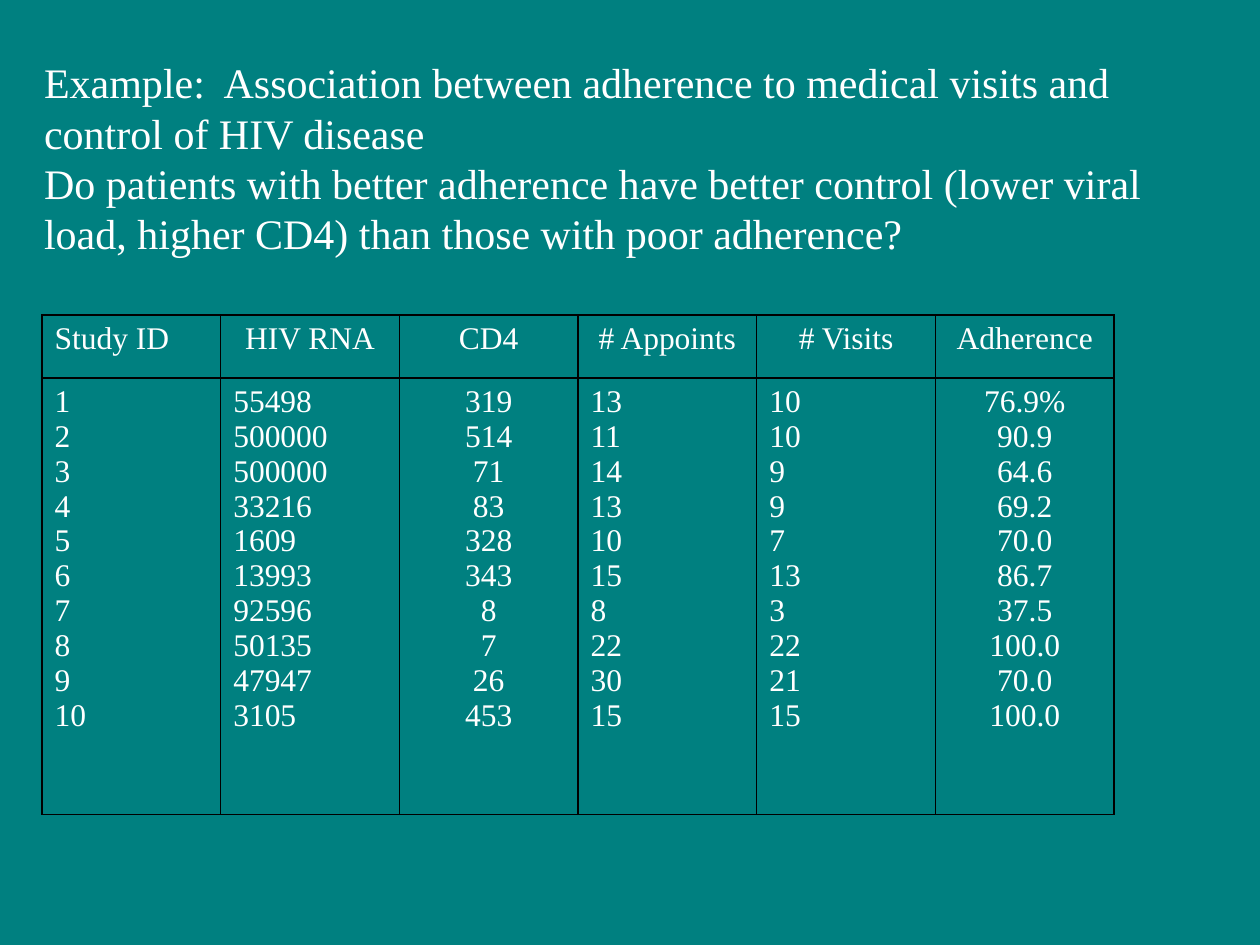
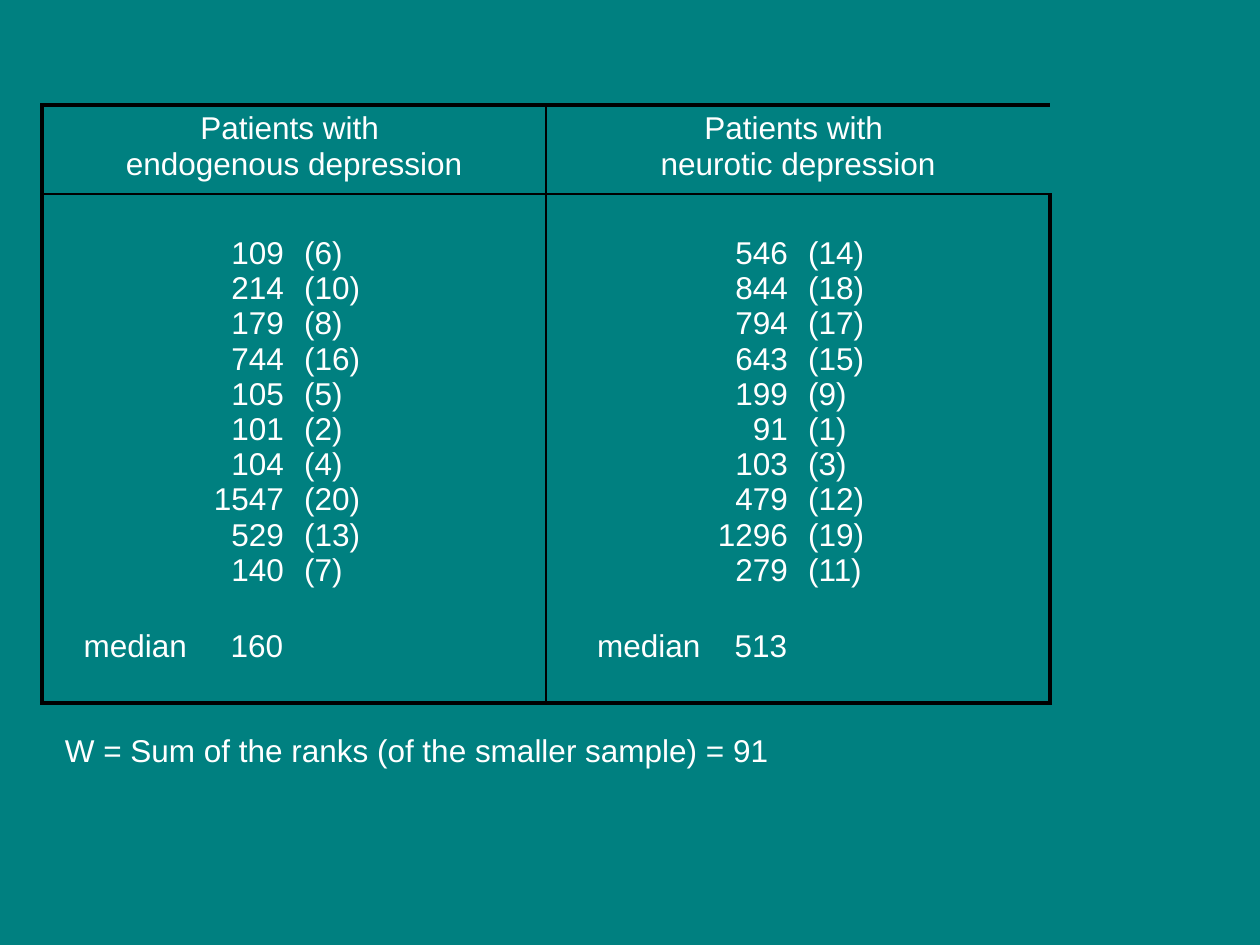
from pptx import Presentation
from pptx.dml.color import RGBColor
from pptx.enum.text import MSO_ANCHOR as Anchor, MSO_AUTO_SIZE as AutoSize, PP_ALIGN as Align
from pptx.oxml.ns import qn
from pptx.util import Pt
from lxml.etree import SubElement

COLORS = {"background": "008080", "text": "FFFFFF", "border": "000000"}
SERIF, SANS = "Times New Roman", "Arial"
THIN, THICK = 0.96, 2.21

QUESTION = [
    "Example:  Association between adherence to medical visits and control of HIV disease",
    "Do patients with better adherence have better control (lower viral load, higher CD4) "
    "than those with poor adherence?",
]
STUDY_COLUMNS = [
    ("Study ID", Align.LEFT, Align.LEFT, "1 2 3 4 5 6 7 8 9 10"),
    ("HIV RNA", Align.CENTER, Align.LEFT,
     "55498 500000 500000 33216 1609 13993 92596 50135 47947 3105"),
    ("CD4", Align.CENTER, Align.CENTER, "319 514 71 83 328 343 8 7 26 453"),
    ("# Appoints", Align.CENTER, Align.LEFT, "13 11 14 13 10 15 8 22 30 15"),
    ("# Visits", Align.CENTER, Align.LEFT, "10 10 9 9 7 13 3 22 21 15"),
    ("Adherence", Align.CENTER, Align.CENTER,
     "76.9% 90.9 64.6 69.2 70.0 86.7 37.5 100.0 70.0 100.0"),
]
PATIENT_GROUPS = [
    {"header": "Patients with \vendogenous depression",
     "values": "109 214 179 744 105 101 104 1547 529 140",
     "ranks": "6 10 8 16 5 2 4 20 13 7", "median": "160", "indent": 18},
    {"header": "Patients with \vneurotic depression",
     "values": "546 844 794 643 199 91 103 479 1296 279",
     "ranks": "14 18 17 15 9 1 3 12 19 11", "median": "513", "indent": 23.5},
]


def apply(target, values):
    for name, value in values.items():
        setattr(target, name, value)


def write(frame, lines, font, size, **para_format):
    for index, line in enumerate(lines):
        para = frame.paragraphs[0] if index == 0 else frame.add_paragraph()
        para.text = line
        apply(para, para_format)
        for span in para.runs:
            apply(span.font, {"name": font, "size": Pt(size)})
            span.font.color.rgb = RGBColor.from_string(COLORS["text"])
    return para


def format_frame(frame, anchor):
    apply(frame, {"word_wrap": True, "auto_size": AutoSize.NONE, "vertical_anchor": anchor,
                  "margin_left": Pt(7.2), "margin_right": Pt(7.2),
                  "margin_top": Pt(3.6), "margin_bottom": Pt(3.6)})


def set_borders(cell, left, right, top, bottom):
    props = cell._tc.get_or_add_tcPr()
    for side, width in zip("LRTB", (left, right, top, bottom)):
        line = SubElement(props, qn(f"a:ln{side}"), w=str(int(Pt(width))))
        if width:
            fill = SubElement(line, qn("a:solidFill"))
            SubElement(fill, qn("a:srgbClr"), val=COLORS["border"])
        else:
            SubElement(line, qn("a:noFill"))
    cell.fill.background()


def add_tab_stops(para, stops):
    tab_list = SubElement(para._p.get_or_add_pPr(), qn("a:tabLst"))
    for position, side in stops:
        SubElement(tab_list, qn("a:tab"), pos=str(int(Pt(position))), algn=side)


def add_grid(page, box, column_count, row_heights):
    left, top, width = box
    frame = page.shapes.add_table(len(row_heights), column_count, Pt(left), Pt(top),
                                  Pt(width), Pt(sum(row_heights)))
    table = frame.table
    apply(table, {"first_row": False, "horz_banding": False})
    for column in table.columns:
        column.width = Pt(width / column_count)
    for row, height in zip(table.rows, row_heights):
        row.height = Pt(height)
    return table


def add_title(page, box, lines):
    title = page.shapes.title
    apply(title, dict(zip(("left", "top", "width", "height"), map(Pt, box))))
    format_frame(title.text_frame, Anchor.MIDDLE)
    write(title.text_frame, lines, SERIF, 24, alignment=Align.LEFT)


def add_study_table(page, box):
    table = add_grid(page, box, len(STUDY_COLUMNS), (36, 249.5))
    for index, (header, header_align, value_align, values) in enumerate(STUDY_COLUMNS):
        parts = (([header], header_align), (values.split(), value_align))
        for row, (lines, align) in enumerate(parts):
            cell = table.cell(row, index)
            write(cell.text_frame, lines, SERIF, 18, alignment=align)
            set_borders(cell, THIN, THIN, THIN, THIN)


def add_group(table, first, group):
    is_left = first == 0
    left_edge = THICK if is_left else THIN
    header, spanned, values, ranks = (table.cell(row, first + step)
                                      for row in (0, 1) for step in (0, 1))
    for cell in (header, spanned, values, ranks):
        apply(cell, {"margin_left": Pt(5.76), "margin_right": Pt(5.76)})
    for cell in (values, ranks):
        cell.margin_top = Pt(24)
    header.merge(spanned)
    write(header.text_frame, [group["header"]], SANS, 18, alignment=Align.CENTER)
    pitch = {"line_spacing": Pt(20.15)}
    write(values.text_frame, group["values"].split(), SANS, 18, alignment=Align.RIGHT, **pitch)
    write(ranks.text_frame, [f"({rank})" for rank in group["ranks"].split()], SANS, 18, **pitch)

    median = values.text_frame.add_paragraph()
    add_tab_stops(median, [(group["indent"], "l"), (132, "r")])
    apply(median, {"space_before": Pt(23.3), "alignment": Align.LEFT, **pitch})
    span = median.add_run()
    span.text = f"\tmedian\t{group['median']}"
    apply(span.font, {"name": SANS, "size": Pt(18)})
    span.font.color.rgb = RGBColor.from_string(COLORS["text"])

    header_right = THIN if is_left else 0
    set_borders(header, left_edge, header_right, THICK, THIN)
    set_borders(spanned, 0, header_right, THICK, THIN)
    set_borders(values, left_edge, 0, THIN, THICK)
    set_borders(ranks, 0, THIN if is_left else THICK, THIN, THICK)


def add_rank_table(page, box):
    table = add_grid(page, box, 2 * len(PATIENT_GROUPS), (50.8, 290.9))
    for index, group in enumerate(PATIENT_GROUPS):
        add_group(table, 2 * index, group)


def add_rank_sum(page, box):
    note = page.shapes.add_textbox(*map(Pt, box))
    format_frame(note.text_frame, Anchor.TOP)
    write(note.text_frame, ["W = Sum of the ranks (of the smaller sample) = 91"], SANS, 18)


def build_adherence_page(deck):
    page = deck.slides.add_slide(deck.slide_layouts.get_by_name("Title Only"))
    add_title(page, (18, 28.8, 672, 122.4), QUESTION)
    add_study_table(page, (24, 180, 612.75))


def build_rank_page(deck):
    page = deck.slides.add_slide(deck.slide_layouts.get_by_name("Blank"))
    add_rank_table(page, (24, 60, 576))
    add_rank_sum(page, (30, 414, 546, 28.8))


def main():
    deck = Presentation()
    apply(deck, {"slide_width": Pt(720), "slide_height": Pt(540)})
    background = deck.slide_master.background.fill
    background.solid()
    background.fore_color.rgb = RGBColor.from_string(COLORS["background"])
    build_adherence_page(deck)
    build_rank_page(deck)
    deck.save("out.pptx")


if __name__ == "__main__":
    main()
